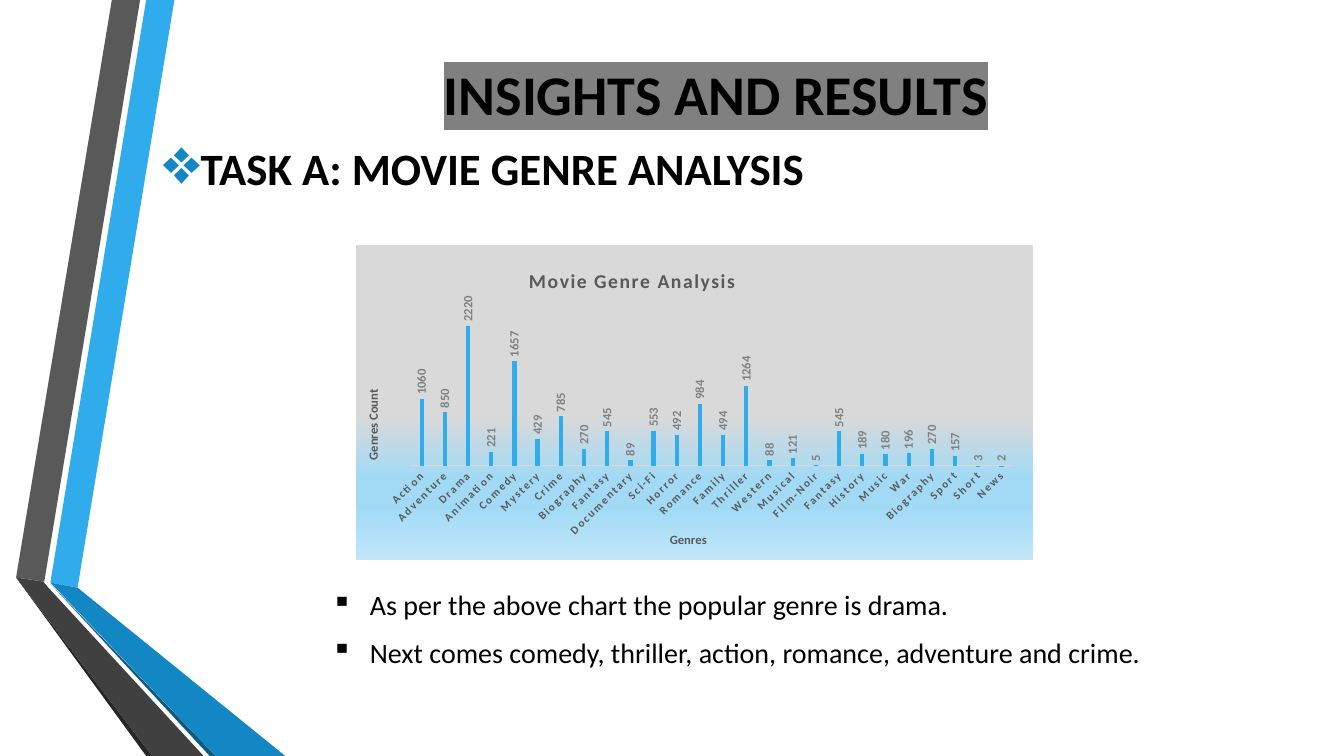
from dataclasses import dataclass

from lxml import etree
from pptx import Presentation
from pptx.chart.data import CategoryChartData
from pptx.dml.color import RGBColor
from pptx.enum.chart import XL_CHART_TYPE, XL_LABEL_POSITION, XL_TICK_MARK
from pptx.enum.text import MSO_ANCHOR, MSO_AUTO_SIZE, PP_ALIGN
from pptx.oxml.ns import qn
from pptx.util import Inches, Pt

COLUMN = XL_CHART_TYPE.COLUMN_CLUSTERED
OUTSIDE = XL_LABEL_POSITION.OUTSIDE_END
NO_TICK = XL_TICK_MARK.NONE
TOP, MIDDLE = MSO_ANCHOR.TOP, MSO_ANCHOR.MIDDLE
GROW = MSO_AUTO_SIZE.SHAPE_TO_FIT_TEXT
FIXED = MSO_AUTO_SIZE.NONE
LEFT, CENTER = PP_ALIGN.LEFT, PP_ALIGN.CENTER

CELL = Inches(0.01)
COLS, ROWS = 1333, 750


@dataclass(frozen=True)
class Theme:
    face: str = "Calibri"
    ink: str = "000000"
    mark: str = "808080"
    gray: str = "595959"
    rule: str = "D9D9D9"
    blue: str = "30ACEC"
    deep: str = "1287C3"
    navy: str = "0C5A82"
    coal: str = "404040"
    dark: str = "262626"
    fade: tuple = ((54, "D9D9D9"), (74, "A2DAF6"), (83, "A2DAF6"), (100, "C1E6F9"))
    head: int = 40
    task: int = 32
    body: int = 20
    name: int = 14
    base: int = 10
    note: int = 9
    tick: int = 8


def add(node, tag, **attrs):
    return etree.SubElement(node, qn(tag), {k: str(v) for k, v in attrs.items()})


def place(node, x, y, w=None, h=None):
    lay = node.find(qn("c:layout"))
    if lay is None:
        lay = etree.Element(qn("c:layout"))
        node.insert(0, lay)
    box = add(lay, "c:manualLayout")
    if w:
        add(box, "c:layoutTarget", val="inner")
    add(box, "c:xMode", val="edge")
    add(box, "c:yMode", val="edge")
    for key, val in zip("xywh", (x, y, w, h)):
        if val is not None:
            add(box, "c:" + key, val=val)


def turn(node, deg, gap=0):
    text = node.find(qn("c:txPr"))
    body = text.find(qn("a:bodyPr"))
    body.set("rot", str(deg * 60000))
    body.set("vert", "horz")
    text.find(".//" + qn("a:defRPr")).set("spc", str(gap))


class Deck:
    """Draw slide elements on a grid of hundredths of an inch."""

    def __init__(self, theme):
        self.theme = theme
        self.file = Presentation()
        self.file.slide_width = COLS * CELL
        self.file.slide_height = ROWS * CELL
        self.slide = self.file.slides.add_slide(self.file.slide_layouts[6])
        self.shapes = self.slide.shapes

    def font(self, font, size, color, bold=False):
        font.name = self.theme.face
        font.size = Pt(size)
        font.bold = bold
        font.color.rgb = RGBColor.from_string(color)

    def band(self, color, points):
        path = self.shapes.build_freeform(*points[0], scale=CELL)
        path.add_line_segments(points[1:], close=True)
        shape = path.convert_to_shape()
        shape.shadow.inherit = False
        shape.fill.solid()
        shape.fill.fore_color.rgb = RGBColor.from_string(color)
        shape.line.fill.background()

    def text(self, grid, lines, size, bold=False, anchor=MIDDLE, fit=FIXED,
             align=LEFT, after=0, space=1.0, style=None):
        frame = self.shapes.add_textbox(*(n * CELL for n in grid)).text_frame
        frame.word_wrap = True
        frame.auto_size = fit
        frame.vertical_anchor = anchor
        frame.text = "\n".join(lines)
        for para in frame.paragraphs:
            para.alignment = align
            para.space_after = Pt(after)
            para.line_spacing = space
            if style:
                self.bullet(para, *style)
            self.font(para.font, size, self.theme.ink, bold)
        return frame

    def bullet(self, para, char, inset, color, scale):
        prop = para._p.get_or_add_pPr()
        prop.set("marL", str(inset * CELL))
        prop.set("indent", str(-inset * CELL))
        add(add(prop, "a:buClr"), "a:srgbClr", val=color)
        add(prop, "a:buSzPct", val=scale * 1000)
        add(prop, "a:buChar", char=char)

    def shade(self, frame, color):
        prop = frame.paragraphs[0].runs[0]._r.get_or_add_rPr()
        add(add(prop, "a:highlight"), "a:srgbClr", val=color)

    def label(self, title, text, size, x, y, gap=0, deg=0):
        frame = title.text_frame
        frame.text = text
        para = frame.paragraphs[0]
        self.font(para.font, size, self.theme.gray, True)
        para.font._element.set("spc", str(gap))
        frame._txBody.find(qn("a:bodyPr")).set("rot", str(deg * 60000))
        place(title._element, x, y)

    def fade(self, chart):
        prop = etree.Element(qn("c:spPr"))
        fill = add(prop, "a:gradFill", rotWithShape=1)
        stops = add(fill, "a:gsLst")
        for spot, color in self.theme.fade:
            add(add(stops, "a:gs", pos=spot * 1000), "a:srgbClr", val=color)
        add(fill, "a:lin", ang=90 * 60000, scaled=0)
        add(add(prop, "a:ln"), "a:noFill")
        chart._chartSpace.find(qn("c:chart")).addnext(prop)

    def chart(self, grid, counts):
        look = self.theme
        data = CategoryChartData(number_format="General")
        data.categories = [name for name, _ in counts]
        data.add_series("Series 1", [count for _, count in counts])
        box = (n * CELL for n in grid)
        chart = self.shapes.add_chart(COLUMN, *box, data).chart
        self.font(chart.font, look.base, look.ink)
        self.fade(chart)
        chart.has_legend = False
        self.label(chart.chart_title, "Movie Genre Analysis", look.name, 0.25, 0.06, 100)
        place(chart._chartSpace.find(".//" + qn("c:plotArea")), 0.08, 0.2, 0.89, 0.5)

        axis = chart.category_axis
        axis.major_tick_mark = NO_TICK
        axis.format.line.color.rgb = RGBColor.from_string(look.rule)
        axis.format.line.width = Pt(0.75)
        self.font(axis.tick_labels.font, look.tick, look.gray, True)
        turn(axis._element, -45, 120)
        self.label(axis.axis_title, "Genres", look.note, 0.46, 0.9)

        scale = chart.value_axis
        scale.minimum_scale, scale.maximum_scale = 0, 2500
        scale.has_major_gridlines = False
        scale.visible = False
        self.label(scale.axis_title, "Genres Count", look.note, 0.01, 0.45, deg=-90)

        plot = chart.plots[0]
        plot.gap_width, plot.overlap = 444, -90
        plot.vary_by_categories = False
        bars = plot.series[0]
        bars.format.fill.solid()
        bars.format.fill.fore_color.rgb = RGBColor.from_string(look.blue)
        tags = bars.data_labels
        tags.show_value = True
        tags.position = OUTSIDE
        self.font(tags.font, look.note, look.mark, True)
        turn(tags._element, -90)


GENRES = [
    ("Action", 1060), ("Adventure", 850), ("Drama", 2220), ("Animation", 221),
    ("Comedy", 1657), ("Mystery", 429), ("Crime", 785), ("Biography", 270),
    ("Fantasy", 545), ("Documentary", 89), ("Sci-Fi", 553), ("Horror", 492),
    ("Romance", 984), ("Family", 494), ("Thriller", 1264), ("Western", 88),
    ("Musical", 121), ("Film-Noir", 5), ("Fantasy", 545), ("History", 189),
    ("Music", 180), ("War", 196), ("Biography", 270), ("Sport", 157),
    ("Short", 3), ("News", 2),
]


def main():
    look = Theme()
    deck = Deck(look)
    bands = [
        (look.blue, [(50, 578), (77, 583), (173, 0), (145, 0)]),
        (look.gray, [(139, 0), (111, 0), (16, 573), (44, 577)]),
        (look.dark, [(16, 573), (145, ROWS), (151, ROWS)]),
        (look.navy, [(50, 579), (208, ROWS), (214, ROWS)]),
        (look.deep, [(50, 578), (214, ROWS), (283, ROWS), (77, 583)]),
        (look.coal, [(202, ROWS), (48, 583), (43, 577), (16, 573), (151, ROWS)]),
    ]
    for color, points in bands:
        deck.band(color, points)
    head = deck.text((162, 18, 1096, 148), ["INSIGHTS AND RESULTS"], look.head,
                     bold=True, align=CENTER)
    deck.shade(head, look.mark)
    deck.text((152, 130, 1019, 73), ["TASK A: MOVIE GENRE ANALYSIS"], look.task,
              bold=True, after=6, style=("❖", 31, look.deep, 145))
    deck.chart((353, 243, 672, 313), GENRES)
    notes = ["As per the above chart the popular genre is drama.",
             "Next comes comedy, thriller, action, romance, adventure and crime."]
    deck.text((319, 576, 850, 92), notes, look.body, anchor=TOP, fit=GROW,
              after=8, space=1.07, style=("▪", 38, look.ink, 100))
    deck.file.save("out.pptx")


if __name__ == "__main__":
    main()
